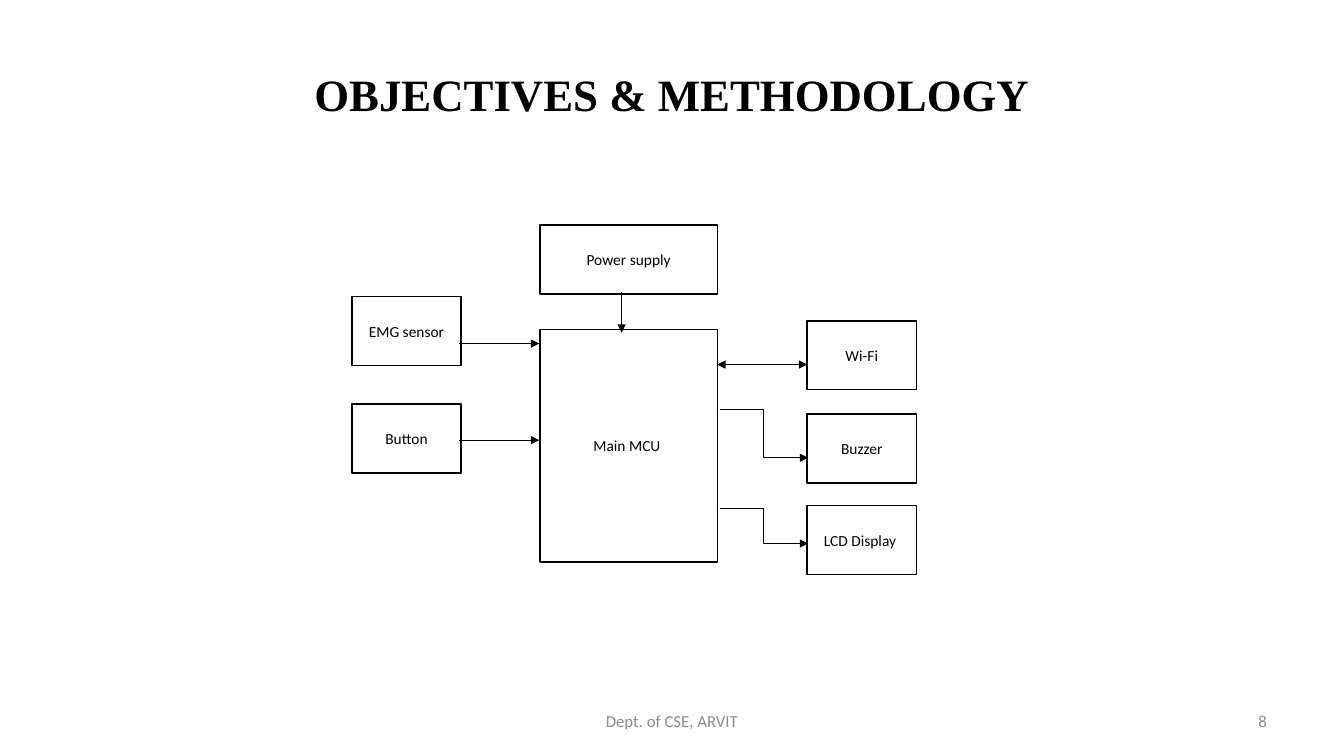
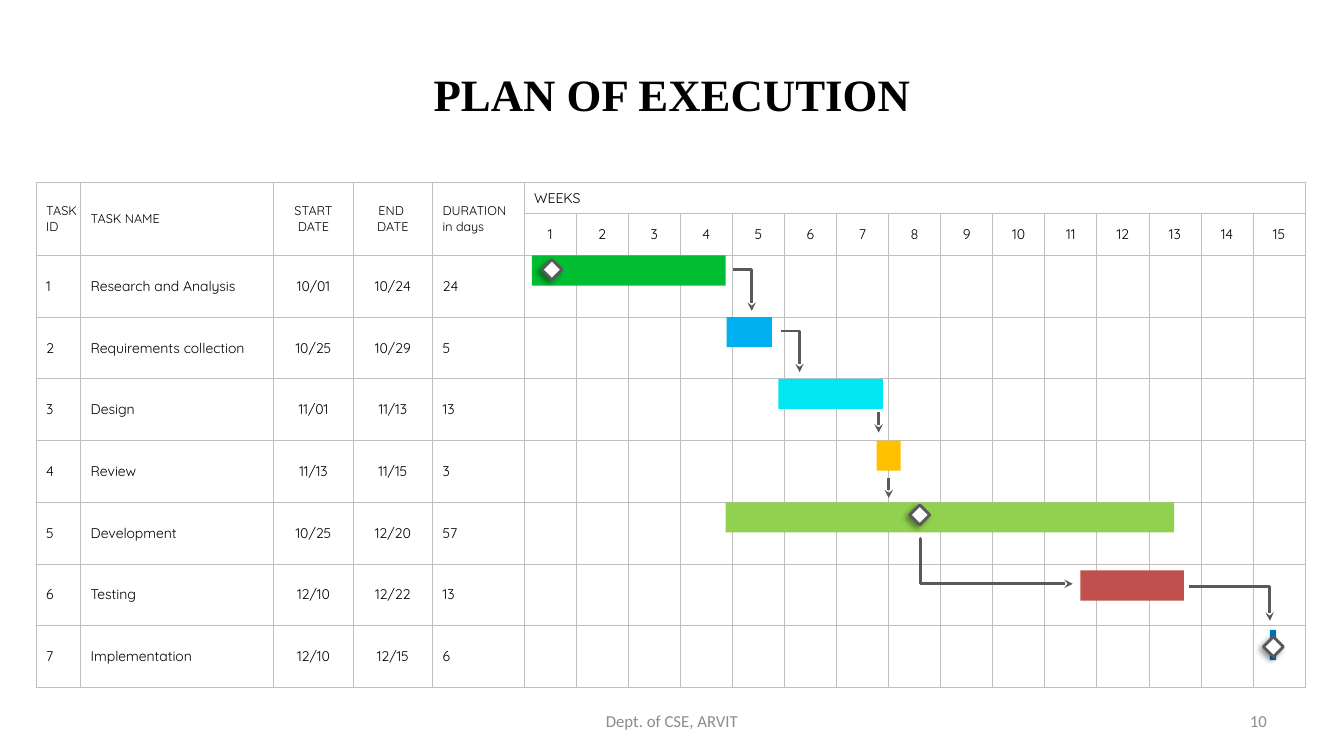
from dataclasses import dataclass

from lxml.etree import SubElement
from pptx import Presentation
from pptx.dml.color import RGBColor
from pptx.enum.shapes import MSO_CONNECTOR as Route, MSO_SHAPE as Shape
from pptx.enum.text import MSO_ANCHOR as Anchor, PP_ALIGN as Align
from pptx.oxml import parse_xml
from pptx.oxml.ns import nsdecls, qn
from pptx.util import Emu, Pt

COLUMNS, ROWS = 160, 90
CELL = 76200


def grid(*lengths):
    return [Emu(round(length * CELL)) for length in lengths]


@dataclass(frozen=True)
class Theme:
    ink: str = "000000"
    paper: str = "FFFFFF"
    footer: str = "8C8C8C"
    border: str = "BFBFBF"
    arrow: str = "595959"
    title_font: str = "Times New Roman"
    body_font: str = "Calibri"
    table_font: str = "Quicksand"
    title_size: float = 32
    footer_size: float = 12
    box_size: float = 11
    header_size: float = 9
    table_size: float = 10
    hairline: float = 0.75
    box_line: float = 1
    arrow_line: float = 2
    border_line: float = 0.5


class SlideBuilder:
    def __init__(self, deck, theme):
        self.deck = deck
        self.theme = theme
        self.page = None

    def set_text(self, frame, text, font, size, color, align=Align.CENTER, bold=False):
        frame.text = text
        for para in frame.paragraphs:
            para.alignment = align
            para.font.name = font
            para.font.size = Pt(size)
            para.font.bold = bold
            para.font.color.rgb = RGBColor.from_string(color)

    def start(self, title, number):
        theme = self.theme
        self.page = self.deck.slides.add_slide(self.deck.slide_layouts[5])
        box = self.page.shapes.title
        box.left, box.top, box.width, box.height = grid(8, 3.6, 144, 15)
        box.text_frame.vertical_anchor = Anchor.MIDDLE
        self.set_text(box.text_frame, title, theme.title_font, theme.title_size, theme.ink, bold=True)
        self.footer(54.7, 50.6, "Dept. of CSE, ARVIT", Align.CENTER)
        self.footer(114.7, 37.3, str(number), Align.RIGHT)

    def footer(self, left, width, text, align):
        theme = self.theme
        frame = self.page.shapes.add_textbox(*grid(left, 83.4, width, 4.8)).text_frame
        frame.word_wrap = True
        frame.vertical_anchor = Anchor.MIDDLE
        self.set_text(frame, text, theme.body_font, theme.footer_size, theme.footer, align)

    def shape(self, kind, place, fill, line=None, weight=1):
        shape = self.page.shapes.add_shape(kind, *grid(*place))
        shape.shadow.inherit = False
        shape.fill.solid()
        shape.fill.fore_color.rgb = RGBColor.from_string(fill)
        if line:
            shape.line.color.rgb = RGBColor.from_string(line)
            shape.line.width = Pt(weight)
        else:
            shape.line.fill.background()
        return shape

    def box(self, text, *place):
        theme = self.theme
        frame = self.shape(Shape.RECTANGLE, place, theme.paper, theme.ink, theme.box_line).text_frame
        frame.word_wrap = True
        frame.vertical_anchor = Anchor.MIDDLE
        self.set_text(frame, text, theme.body_font, theme.box_size, theme.ink)

    def milestone(self, center_x, center_y, size=2.4):
        theme = self.theme
        place = (center_x - size / 2, center_y - size / 2, size, size)
        diamond = self.shape(Shape.DIAMOND, place, theme.paper, theme.arrow, theme.arrow_line)
        effects = diamond._element.spPr.find(qn("a:effectLst"))
        effects.append(parse_xml(
            f'<a:outerShdw {nsdecls("a")} blurRad="{Pt(4)}" dist="{Pt(3)}" dir="8100000">'
            f'<a:srgbClr val="{theme.ink}"><a:alpha val="40000"/></a:srgbClr></a:outerShdw>'))

    def arrow(self, start, end, color, weight, tip, bend=None, both=False):
        route = Route.STRAIGHT if bend is None else Route.ELBOW
        connector = self.page.shapes.add_connector(route, *grid(*start, *end))
        connector.line.color.rgb = RGBColor.from_string(color)
        connector.line.width = Pt(weight)
        properties = connector._element.spPr
        if bend is not None:
            adjustments = properties.find(qn("a:prstGeom")).find(qn("a:avLst"))
            SubElement(adjustments, qn("a:gd"), name="adj1", fmla=f"val {round(bend * 100000)}")
        line = properties.find(qn("a:ln"))
        for name in ("a:headEnd", "a:tailEnd") if both else ("a:tailEnd",):
            SubElement(line, qn(name), type=tip)
        SubElement(properties, qn("a:effectLst"))

    def flow(self, start, end, bend=None, both=False):
        self.arrow(start, end, self.theme.ink, self.theme.hairline, "triangle", bend, both)

    def dependency(self, start, end, bend=None):
        self.arrow(start, end, self.theme.arrow, self.theme.arrow_line, "stealth", bend)

    def table(self, left, top, widths, heights):
        place = grid(left, top, sum(widths), sum(heights))
        table = self.page.shapes.add_table(len(heights), len(widths), *place).table
        table.first_row = table.horz_banding = False
        for column, width in zip(table.columns, grid(*widths)):
            column.width = width
        for row, height in zip(table.rows, grid(*heights)):
            row.height = height
        for cell in table.iter_cells():
            cell.fill.solid()
            cell.fill.fore_color.rgb = RGBColor.from_string(self.theme.paper)
            cell.vertical_anchor = Anchor.MIDDLE
            properties = cell._tc.get_or_add_tcPr()
            for index, side in enumerate("LRTB"):
                properties.insert(index, parse_xml(
                    f'<a:ln{side} {nsdecls("a")} w="{Pt(self.theme.border_line)}"><a:solidFill>'
                    f'<a:srgbClr val="{self.theme.border}"/></a:solidFill></a:ln{side}>'))
        return table

    def label(self, cell, text, size, align):
        self.set_text(cell.text_frame, text, self.theme.table_font, size, self.theme.ink, align)


def methodology(slide):
    slide.start("OBJECTIVES & METHODOLOGY", 8)
    slide.box("Main MCU ", 64.3, 39.2, 21.1, 27.7)
    slide.box("Power supply", 64.3, 26.8, 21.1, 8.2)
    for text, left, top in (
        ("EMG sensor", 41.9, 35.3), ("Button", 41.9, 48.1),
        ("Wi-Fi", 96.1, 38.2), ("Buzzer", 96.1, 49.3), ("LCD Display ", 96.1, 60.2),
    ):
        slide.box(text, left, top, 13, 8.2)
    slide.flow((74, 34.8), (74, 39.6))
    for height in (40.9, 52.4):
        slide.flow((54.7, height), (64.2, height))
    slide.flow((85.4, 43.4), (96.1, 43.4), both=True)
    for start, end in ((48.7, 54.5), (60.5, 64.7)):
        slide.flow((85.7, start), (96.2, end), bend=0.5)


TASKS = (
    ("Research and Analysis", "10/01", "10/24", "24", 0.15, 3.72, 0, "00BD32"),
    ("Requirements collection", "10/25", "10/29", "5", 3.89, 0.87, 0, "00B0F0"),
    ("Design", "11/01", "11/13", "13", 4.88, 2.01, 0, "00E7F2"),
    ("Review", "11/13", "11/15", "3", 6.77, 0.46, 0, "FFC000"),
    ("Development", "10/25", "12/20", "57", 3.87, 8.61, 0, "92D050"),
    ("Testing", "12/10", "12/22", "13", 10.68, 1.99, 0.77, "C0504D"),
    ("Implementation", "12/10", "12/15", "6", 14.32, 0.12, 0.5, "0070C0"),
)
HEADERS = ("TASK ID", "TASK NAME", "START DATE", "END \nDATE", "DURATION\nin days")
ALIGNS = (Align.LEFT, Align.LEFT, Align.CENTER, Align.CENTER, Align.LEFT)
WEEKS = 15


def execution_plan(slide):
    theme = slide.theme
    left, top, week, task_height, bar_height = 4.3, 21.7, 6.2, 7.35, 3.6
    info_widths, header_heights = [5.3, 23, 9.45, 9.45, 10.9], [3.7, 5]
    weeks_left = left + sum(info_widths)
    tasks_top = top + sum(header_heights)

    slide.start("PLAN OF EXECUTION", 10)
    table = slide.table(left, top, info_widths + [week] * WEEKS,
                        header_heights + [task_height] * len(TASKS))
    for row in range(len(TASKS) + 2):
        table.cell(row, 0).margin_right = 0
    for column, (header, align) in enumerate(zip(HEADERS, ALIGNS)):
        cell = table.cell(0, column)
        cell.merge(table.cell(1, column))
        slide.label(cell, header, theme.header_size, align)
    first = len(HEADERS)
    table.cell(0, first).merge(table.cell(0, first + WEEKS - 1))
    slide.label(table.cell(0, first), "WEEKS", theme.table_size, Align.LEFT)
    for number in range(WEEKS):
        cell = table.cell(1, first + number)
        cell.margin_left = cell.margin_right = cell.margin_top = cell.margin_bottom = 0
        slide.label(cell, str(number + 1), theme.table_size, Align.CENTER)

    for index, (*info, start, length, drop, color) in enumerate(TASKS):
        for column, (text, align) in enumerate(zip([str(index + 1), *info], ALIGNS)):
            slide.label(table.cell(index + 2, column), text, theme.table_size, align)
        place = (weeks_left + start * week, tasks_top + index * task_height + drop,
                 length * week, bar_height)
        slide.shape(Shape.RECTANGLE, place, color)

    for center in ((65.7, 32.1), (109.5, 61.3), (151.6, 77)):
        slide.milestone(*center)
    across_first, down_first = 0.995, -0.002
    for start, end, bend in (
        ((87.3, 32.1), (89.5, 37), across_first),
        ((93, 39.4), (95.2, 44.3), across_first),
        ((109.6, 64.1), (127.7, 69.5), down_first),
        ((141.6, 69.8), (151.2, 73.9), across_first),
        ((105.8, 56.9), (105.8, 59.3), None),
        ((104.6, 49.1), (104.6, 51.5), None),
    ):
        slide.dependency(start, end, bend)


def main():
    deck = Presentation()
    deck.slide_width, deck.slide_height = grid(COLUMNS, ROWS)
    slide = SlideBuilder(deck, Theme())
    methodology(slide)
    execution_plan(slide)
    deck.save("out.pptx")


if __name__ == "__main__":
    main()
